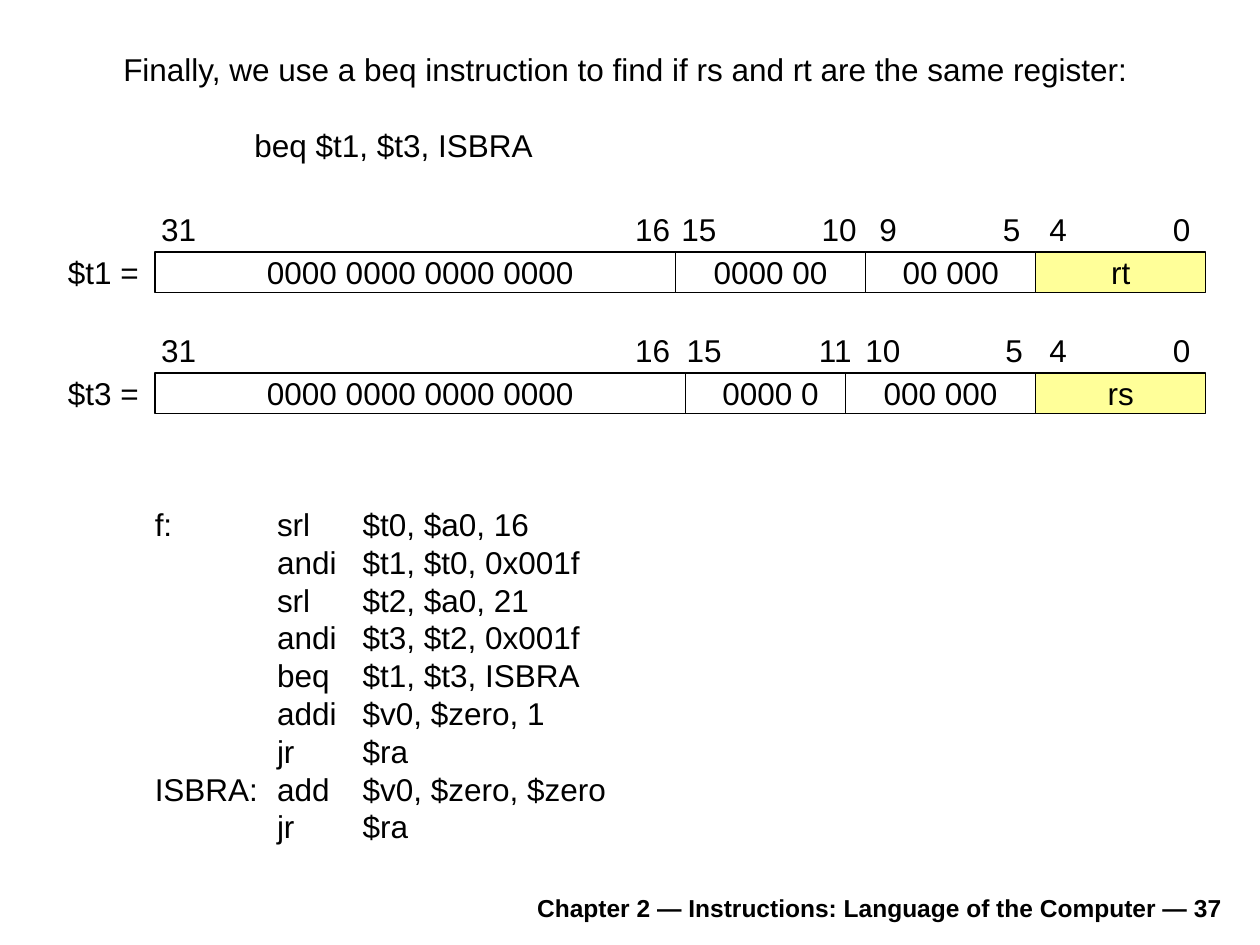
import pptx
import pptx.dml.color
import pptx.enum.shapes
import pptx.enum.text
import pptx.oxml.ns
import pptx.util
from lxml import etree

Inches, Pt = pptx.util.Inches, pptx.util.Pt
ALIGN = pptx.enum.text.PP_ALIGN
ANCHOR = pptx.enum.text.MSO_ANCHOR

BLACK, WHITE, YELLOW = "000000", "FFFFFF", "FFFF99"
CELL_HEIGHT = 0.32
LABEL_HEIGHT = 0.4
INSET = 0.1

# Cells: text, left, width, fill. Bit labels: high bit, low bit, left edge, right edge.
REGISTERS = [
    ("$t1 =", 2.0,
     [("0000 0000 0000 0000", 1.23, 4.21, WHITE), ("0000 00", 5.36, 1.51, WHITE),
      ("00 000", 6.87, 1.35, WHITE), ("rt", 8.22, 1.35, YELLOW)],
     [("31", "16", 1.28, 5.32), ("15", "10", 5.41, 6.8),
      ("9", "5", 6.98, 8.1), ("4", "0", 8.33, 9.45)]),
    ("$t3 =", 2.96,
     [("0000 0000 0000 0000", 1.23, 4.21, WHITE), ("0000 0", 5.44, 1.35, WHITE),
      ("000 000", 6.71, 1.51, WHITE), ("rs", 8.22, 1.35, YELLOW)],
     [("31", "16", 1.28, 5.32), ("15", "11", 5.45, 6.76),
      ("10", "5", 6.87, 8.12), ("4", "0", 8.33, 9.45)]),
]

LISTING = [
    ("f:", "srl", "$t0, $a0, 16"),
    ("", "andi", "$t1, $t0, 0x001f"),
    ("", "srl", "$t2, $a0, 21"),
    ("", "andi", "$t3, $t2, 0x001f"),
    ("", "beq", "$t1, $t3, ISBRA"),
    ("", "addi", "$v0, $zero, 1"),
    ("", "jr", "$ra"),
    ("ISBRA:", "add", "$v0, $zero, $zero"),
    ("", "jr", "$ra"),
]


def rgb(color):
    return pptx.dml.color.RGBColor.from_string(color)


def set_tabs(p, tabs):
    """Add tab stops, given as (inches, alignment) pairs."""
    tab_list = etree.SubElement(p._p.get_or_add_pPr(), pptx.oxml.ns.qn("a:tabLst"))
    for position, align in tabs:
        etree.SubElement(tab_list, pptx.oxml.ns.qn("a:tab"),
                         pos=str(Inches(position)), algn=align)


def write(p, text, size=18, bold=False, align=ALIGN.LEFT, tabs=(), indent=0,
          before=0, spacing=None):
    p.alignment = align
    if indent:
        p._p.get_or_add_pPr().set("marL", str(Inches(indent)))
    if spacing:
        p.line_spacing = Pt(spacing)
    if before:
        p.space_before = Pt(before)
    if tabs:
        set_tabs(p, tabs)
    r = p.add_run()
    r.text = text
    r.font.name = "Arial"
    r.font.size = Pt(size)
    r.font.bold = bold
    r.font.color.rgb = rgb(BLACK)


def add_box(shapes, left, top, width, height, anchor=ANCHOR.TOP, wrap=False):
    sp = shapes.add_textbox(Inches(left), Inches(top), Inches(width), Inches(height))
    tf = sp.text_frame
    tf.word_wrap = wrap
    tf.vertical_anchor = anchor
    return tf


def add_cell(shapes, text, left, top, width, fill):
    sp = shapes.add_shape(pptx.enum.shapes.MSO_SHAPE.RECTANGLE, Inches(left),
                          Inches(top), Inches(width), Inches(CELL_HEIGHT))
    sp.shadow.inherit = False
    sp.fill.solid()
    sp.fill.fore_color.rgb = rgb(fill)
    sp.line.color.rgb = rgb(BLACK)
    sp.line.width = Pt(0.75)
    tf = sp.text_frame
    tf.word_wrap = False
    tf.vertical_anchor = ANCHOR.MIDDLE
    write(tf.paragraphs[0], text, align=ALIGN.CENTER)


def add_bit_range(shapes, high, low, left, right, top):
    """Put the high bit at the left edge and the low bit at the right edge."""
    tf = add_box(shapes, left - INSET, top, right - left + 2 * INSET, LABEL_HEIGHT,
                 anchor=ANCHOR.MIDDLE, wrap=True)
    tf.margin_right = 0
    write(tf.paragraphs[0], f"{high}\t{low}", tabs=[(right - left, "r")])


def add_register(s, name, top, cells, bit_ranges):
    shapes = s.shapes.add_group_shape().shapes
    for text, left, width, fill in cells:
        add_cell(shapes, text, left, top, width, fill)
    for high, low, left, right in bit_ranges:
        add_bit_range(shapes, high, low, left, right, top - 0.38)
    tf = add_box(shapes, 0.44, top - 0.04, 0.76, LABEL_HEIGHT)
    write(tf.paragraphs[0], name)


def add_introduction(s):
    tf = add_box(s.shapes, 0.88, 0.35, 8.19, 1)
    write(tf.paragraphs[0], "Finally, we use a beq instruction to find if rs and rt "
          "are the same register:", spacing=21.6)
    write(tf.add_paragraph(), "beq $t1, $t3, ISBRA", indent=1.04, before=21.6,
          spacing=21.6)


def add_listing(s):
    tf = add_box(s.shapes, 1.13, 3.96, 3.78, 2.8)
    for i, line in enumerate(LISTING):
        p = tf.add_paragraph() if i else tf.paragraphs[0]
        write(p, "\t".join(line), tabs=[(0.97, "l"), (1.65, "l")], spacing=21.6)


def add_footer(s):
    tf = add_box(s.shapes, 1.85, 6.98, 7.95, 0.39, anchor=ANCHOR.BOTTOM, wrap=True)
    write(tf.paragraphs[0], "Chapter 2 — Instructions: Language of the Computer — 37",
          size=14, bold=True, align=ALIGN.RIGHT)


def main():
    prs = pptx.Presentation()
    prs.slide_width, prs.slide_height = Inches(10), Inches(7.5)
    s = prs.slides.add_slide(prs.slide_layouts[6])
    add_footer(s)
    add_introduction(s)
    add_listing(s)
    for register in REGISTERS:
        add_register(s, *register)
    prs.save("out.pptx")


if __name__ == "__main__":
    main()
